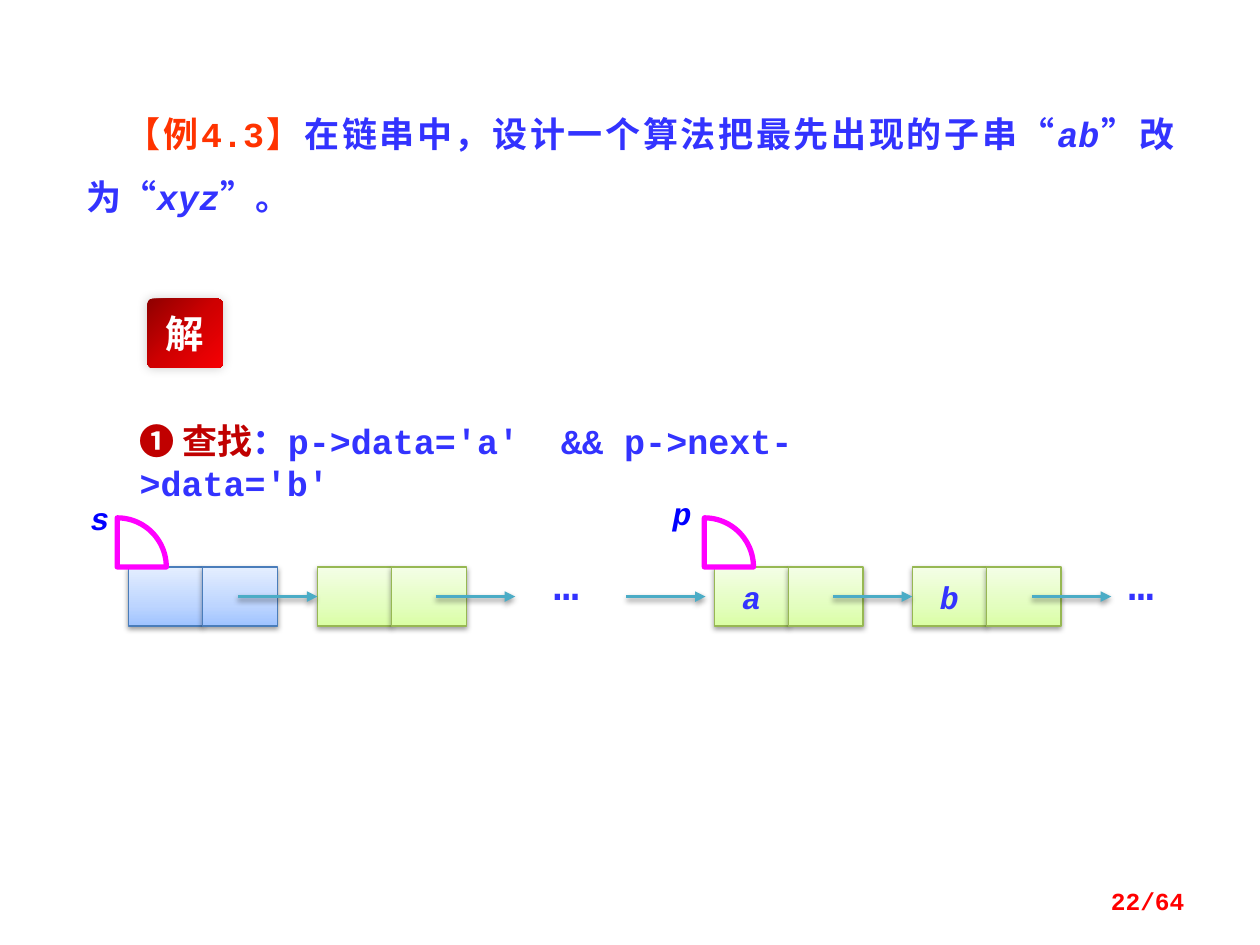
from dataclasses import dataclass
from math import cos, pi, sin

from lxml import etree
from pptx import Presentation
from pptx.dml.color import RGBColor
from pptx.enum.shapes import MSO_CONNECTOR, MSO_SHAPE
from pptx.enum.text import MSO_ANCHOR, PP_ALIGN
from pptx.oxml import parse_xml
from pptx.oxml.ns import nsdecls, qn
from pptx.util import Inches, Pt

RECT, ROUND = MSO_SHAPE.RECTANGLE, MSO_SHAPE.ROUNDED_RECTANGLE
LINE = MSO_CONNECTOR.STRAIGHT
LEFT, MID, RIGHT, JUST = PP_ALIGN.LEFT, PP_ALIGN.CENTER, PP_ALIGN.RIGHT, PP_ALIGN.JUSTIFY
CENTER = MSO_ANCHOR.MIDDLE


@dataclass(frozen=True)
class Theme:
    code: str = "Courier New"
    hans: str = "Noto Sans CJK SC"
    blue: str = "3333FF"
    name: str = "0000FF"
    orange: str = "FF3300"
    dark: str = "C00000"
    red: str = "FF0000"
    white: str = "FFFFFF"
    pink: str = "FF00FF"
    teal: str = "4BACC6"
    # Each node: outline and gradient stops
    head: tuple = ("4A7DBA", ((0, "9FC3FF"), (35, "BDD5FF"), (100, "E4EEFF")))
    node: tuple = ("97B853", ((0, "DAFEA4"), (35, "E3FEBF"), (100, "F4FEE6")))
    badge: tuple = ((0, "8F0000"), (50, "CF0001"), (100, "F60004"))
    body: int = 20
    mark: int = 22
    item: int = 18
    dots: int = 24
    page: int = 14


T = Theme()


def rgb(code):
    return RGBColor.from_string(code)


def write(frame, runs, size, align=LEFT, font=T.code):
    """Fill the first paragraph with (text, colour, italic) runs."""
    frame.word_wrap = True
    para = frame.paragraphs[0]
    para.alignment = align
    for text, color, slant in runs:
        run = para.add_run()
        run.text = text
        face = run.font
        face.name, face.size = font, Pt(size)
        face.bold, face.italic = True, slant
        face.color.rgb = rgb(color)
        props = run._r.get_or_add_rPr()
        props.set("lang", "zh-CN")
        etree.SubElement(props, qn("a:ea")).set("typeface", T.hans)
    return para


def label(slide, box, runs, size, align=LEFT):
    area = slide.shapes.add_textbox(*map(Inches, box))
    write(area.text_frame, runs, size, align)
    return area


def shade(shape, stops, angle):
    """Give a shape a gradient of any number of stops."""
    shape.fill.gradient()
    marks = "".join(
        f'<a:gs pos="{pos * 1000}"><a:srgbClr val="{color}"/></a:gs>' for pos, color in stops)
    old = shape._element.spPr.find(qn("a:gradFill"))
    new = parse_xml(f'<a:gradFill {nsdecls("a")} rotWithShape="1"><a:gsLst>{marks}</a:gsLst>'
                    f'<a:lin ang="{angle * 60000}" scaled="0"/></a:gradFill>')
    old.getparent().replace(old, new)


def shadow(shape, alpha=38, blur=3.1, dist=1.6):
    props = shape._element.spPr
    for old in props.findall(qn("a:effectLst")):
        props.remove(old)
    props.append(parse_xml(
        f'<a:effectLst {nsdecls("a")}><a:outerShdw blurRad="{Pt(blur)}" dist="{Pt(dist)}" '
        f'dir="5400000" rotWithShape="0"><a:srgbClr val="000000"><a:alpha val="{alpha * 1000}"/>'
        '</a:srgbClr></a:outerShdw></a:effectLst>'))


def cell(slide, box, look, text):
    edge, stops = look
    shape = slide.shapes.add_shape(RECT, *map(Inches, box))
    shade(shape, stops, 270)
    shape.line.color.rgb = rgb(edge)
    shape.line.width = Pt(0.75)
    shadow(shape)
    if text:
        shape.text_frame.vertical_anchor = CENTER
        write(shape.text_frame, [(text, T.blue, True)], T.item, MID)


def arrow(slide, x, y, span):
    link = slide.shapes.add_connector(LINE, Inches(x), Inches(y), Inches(x + span), Inches(y))
    link.line.color.rgb = rgb(T.teal)
    link.line.width = Pt(2)
    tail = etree.SubElement(link.line._get_or_add_ln(), qn("a:tailEnd"))
    tail.set("type", "triangle")
    shadow(link)


def wedge(slide, x, y, size):
    """Outline a quarter disc whose corner is at the lower left."""
    turns = [pi / 2 * (1 - i / 24) for i in range(25)]
    dots = [(Inches(x + size * cos(a)), Inches(y + size - size * sin(a))) for a in turns]
    pen = slide.shapes.build_freeform(*dots[0])
    pen.add_line_segments(dots[1:] + [(Inches(x), Inches(y + size))], close=True)
    shape = pen.convert_to_shape()
    shape.fill.background()
    shape.line.color.rgb = rgb(T.pink)
    shape.line.width = Pt(3)
    shape.shadow.inherit = False


def task(slide, box):
    runs = [("【例4.3】", T.orange, False),
            ("在链串中，设计一个算法把最先出现的子串“", T.blue, False), ("ab", T.blue, True),
            ("”改为“", T.blue, False), ("xyz", T.blue, True), ("”。", T.blue, False)]
    area = label(slide, box, runs, T.body, JUST)
    para = area.text_frame.paragraphs[0]
    para.line_spacing = 1.5
    para._p.get_or_add_pPr().set("indent", str(Inches(0.31)))


def badge(slide, box):
    shape = slide.shapes.add_shape(ROUND, *map(Inches, box))
    shape.adjustments[0] = 0.08
    shade(shape, T.badge, 45)
    shape.line.fill.background()
    shadow(shape, 20, 6, 0)
    shape.text_frame.vertical_anchor = CENTER
    write(shape.text_frame, [("解", T.white, False)], T.mark, MID, T.hans)


def step(slide, box):
    label(slide, box, [("❶ 查找", T.dark, False),
                       ("：p->data='a'  && p->next->data='b'", T.blue, False)], T.body)


def chain(slide, box):
    """Draw the linked string, with its nodes along the foot of the box."""
    left, top, width, height = box
    wide, high = 0.59, 0.47
    base = top + height - high
    # Nodes of two cells each
    nodes = [(0.4, T.head, ""), (1.9, T.node, ""), (5.05, T.node, "a"), (6.62, T.node, "b")]
    for x, look, text in nodes:
        for i, word in enumerate((text, "")):
            cell(slide, (left + x + i * wide, base, wide, high), look, word)
    # Links and gaps
    for x in (1.27, 2.84, 4.35, 5.99, 7.57):
        arrow(slide, left + x, base + high / 2, 0.63)
    for x in (3.56, 8.12):
        label(slide, (left + x, base - 0.12, 0.63, 0.5), [("…", T.blue, False)], T.dots, MID)
    # Pointers
    for x, dy, mark, text in ((0, 0.04, 0.31, "s"), (4.62, 0, 4.97, "p")):
        label(slide, (left + x, top + dy, 0.47, 0.4), [(text, T.name, True)], T.item)
        wedge(slide, left + mark, base - 0.39, 0.39)


def page(slide, box):
    area = label(slide, box, [("22/64", T.red, False)], T.page, RIGHT)
    area.text_frame.vertical_anchor = CENTER


def main():
    deck = Presentation()
    deck.slide_width, deck.slide_height = Inches(10), Inches(7.5)
    slide = deck.slides.add_slide(deck.slide_layouts[6])
    task(slide, (0.59, 0.68, 8.83, 1.05))
    badge(slide, (1.17, 2.37, 0.6, 0.55))
    step(slide, (1.01, 3.28, 6.88, 0.44))
    chain(slide, (0.62, 3.87, 8.75, 1.1))
    page(slide, (7.17, 6.95, 2.33, 0.4))
    deck.save("out.pptx")


if __name__ == "__main__":
    main()
